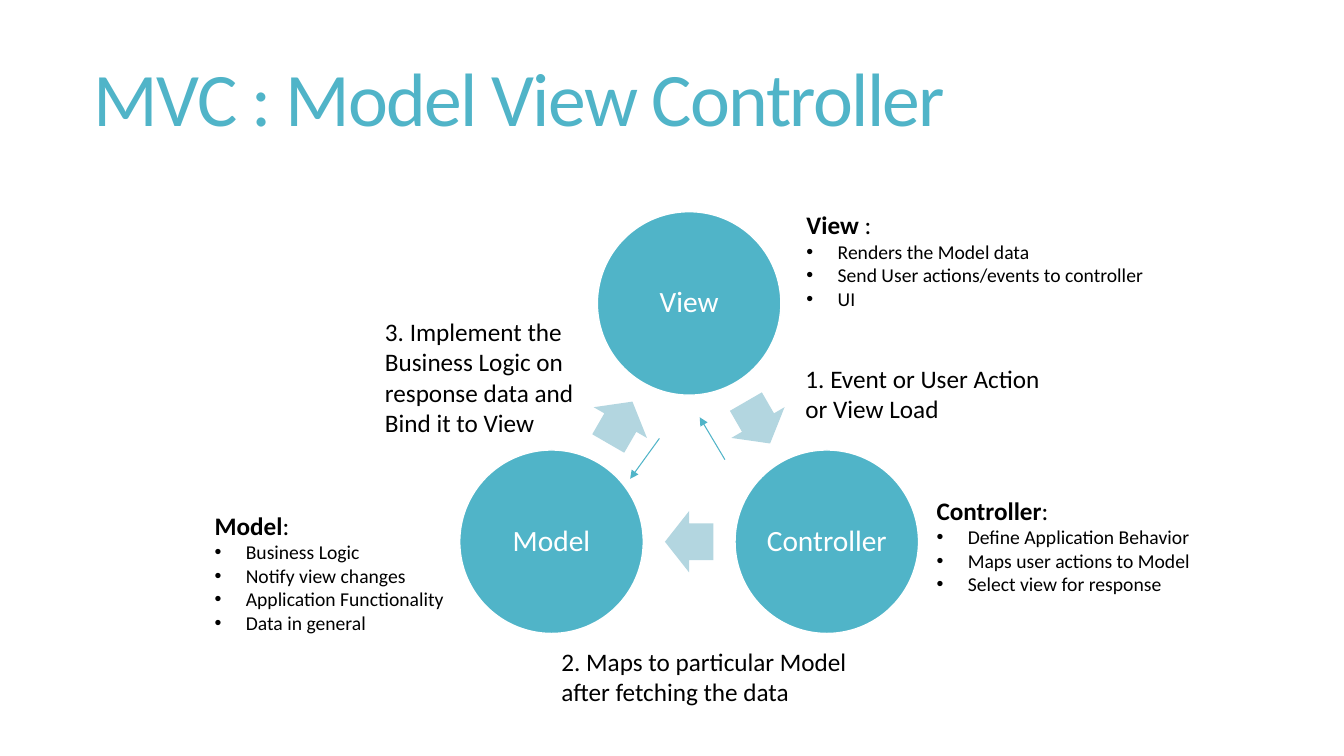
import math
from dataclasses import dataclass

import lxml.etree
import pptx
import pptx.dml.color
import pptx.enum.shapes
import pptx.enum.text
import pptx.oxml.ns
import pptx.util

Inches = pptx.util.Inches
SHAPE = pptx.enum.shapes.MSO_SHAPE
ALIGN = pptx.enum.text.PP_ALIGN
MIDDLE = pptx.enum.text.MSO_ANCHOR.MIDDLE
qn = pptx.oxml.ns.qn


@dataclass(frozen=True)
class Theme:
    """Colours, font and type sizes of the slide."""
    accent: str = "50B4C8"
    pale: str = "B3D6E0"
    white: str = "FFFFFF"
    black: str = "000000"
    font: str = "Calibri"
    title: float = 54
    node: float = 21
    body: float = 18
    bullet: float = 14


THEME = Theme()

STEPS = [
    ("1. Event or User Action or View Load", (7.89, 3.55, 2.78, 0.71)),
    ("2. Maps to particular Model after fetching the data", (5.47, 6.36, 3.44, 0.71)),
    ("3. Implement the Business Logic on response data and Bind it to View",
     (3.72, 3.09, 2.53, 1.31)),
]
ROLES = [
    ("View", " : ", ["Renders the Model data",
                     "Send User actions/events to controller", "UI"],
     (7.9, 2.03, 4.11, 1.11)),
    ("Controller", ": ", ["Define Application Behavior", "Maps user actions to Model",
                          "Select view for response"],
     (9.19, 4.86, 4.11, 1.11)),
    ("Model", ": ", ["Business Logic", "Notify view changes",
                     "Application Functionality", "Data in general"],
     (2.03, 5.01, 2.96, 1.35)),
]


def rgb(code):
    """Turn a hex code into a colour."""
    return pptx.dml.color.RGBColor.from_string(code)


def add_run(p, text, size, color=THEME.black, bold=False):
    """Add one formatted run to a paragraph."""
    r = p.add_run()
    r.text = text
    r.font.name = THEME.font
    r.font.size = pptx.util.Pt(size)
    r.font.bold = bold
    r.font.color.rgb = rgb(color)
    return r


def add_text_frame(slide, box):
    """Add a wrapping text box and return its frame."""
    tf = slide.shapes.add_textbox(*map(Inches, box)).text_frame
    tf.word_wrap = True
    return tf


def add_bullet(p):
    """Give a paragraph a hanging round bullet."""
    pPr = p._p.get_or_add_pPr()
    pPr.set("marL", str(Inches(0.31)))
    pPr.set("indent", str(-Inches(0.31)))
    lxml.etree.SubElement(pPr, qn("a:buFont")).set("typeface", "Arial")
    lxml.etree.SubElement(pPr, qn("a:buChar")).set("char", "•")


def add_preset(slide, kind, center, width, height, fill):
    """Add a flat preset shape around a centre point."""
    x, y = center
    sp = slide.shapes.add_shape(kind, Inches(x - width / 2), Inches(y - height / 2),
                                Inches(width), Inches(height))
    sp.shadow.inherit = False
    sp.fill.solid()
    sp.fill.fore_color.rgb = rgb(fill)
    sp.line.fill.background()
    return sp


def add_title(slide, text, box):
    """Place and format the title placeholder."""
    sp = slide.shapes.title
    sp.left, sp.top, sp.width, sp.height = map(Inches, box)
    tf = sp.text_frame
    tf.auto_size = pptx.enum.text.MSO_AUTO_SIZE.NONE
    tf.vertical_anchor = MIDDLE
    p = tf.paragraphs[0]
    p.alignment = ALIGN.LEFT
    p.line_spacing = 0.85
    r = add_run(p, text, THEME.title, THEME.accent)
    r._r.get_or_add_rPr().set("spc", "-120")


def add_node(slide, name, center, diameter):
    """Add a labelled circle of the cycle."""
    sp = add_preset(slide, SHAPE.OVAL, center, diameter, diameter, THEME.accent)
    sp.line.color.rgb = rgb(THEME.white)
    sp.line.width = pptx.util.Pt(1)
    tf = sp.text_frame
    tf.margin_left = tf.margin_right = tf.margin_top = tf.margin_bottom = Inches(0.03)
    tf.word_wrap = True
    tf.vertical_anchor = MIDDLE
    p = tf.paragraphs[0]
    p.alignment = ALIGN.CENTER
    p.line_spacing = 0.9
    add_run(p, name, THEME.node, THEME.white)


def add_thin_arrow(slide, start, end):
    """Add a thin connector with a triangular head at its end."""
    line = slide.shapes.add_connector(pptx.enum.shapes.MSO_CONNECTOR.STRAIGHT,
                                      *map(Inches, (*start, *end)))
    line.line.color.rgb = rgb(THEME.accent)
    line.line.width = pptx.util.Pt(0.75)
    ln = line.line._get_or_add_ln()
    lxml.etree.SubElement(ln, qn("a:tailEnd")).set("type", "triangle")
    lxml.etree.SubElement(line._element.spPr, qn("a:effectLst"))


def add_cycle(slide, names, box, diameter=1.82):
    """Place the circles on a ring, with block arrows between and thin ones inside."""
    left, top, width, _ = box
    radius = (width - diameter) / math.sqrt(3)
    cx, cy = left + width / 2, top + diameter / 2 + radius
    step = 360 / len(names)
    centers = []
    for i in range(len(names)):
        angle = math.radians(i * step - 90)
        centers.append((cx + radius * math.cos(angle), cy + radius * math.sin(angle)))
    for i, (name, center) in enumerate(zip(names, centers)):
        add_node(slide, name, center, diameter)
        following = centers[(i + 1) % len(centers)]
        middle = [(a + b) / 2 for a, b in zip(center, following)]
        arrow = add_preset(slide, SHAPE.RIGHT_ARROW, middle, 0.48, 0.61, THEME.pale)
        arrow.adjustments[0], arrow.adjustments[1] = 0.6, 0.5
        arrow.rotation = step / 2 + i * step
    for start, end in [((2.63, 2.46), (2.38, 2.04)), ((1.98, 2.25), (1.69, 2.65))]:
        add_thin_arrow(slide, (left + start[0], top + start[1]),
                       (left + end[0], top + end[1]))


def add_step(slide, text, box):
    """Add the caption of one step."""
    add_run(add_text_frame(slide, box).paragraphs[0], text, THEME.body)


def add_role(slide, name, mark, duties, box):
    """Add a bold role name with its bulleted duties."""
    tf = add_text_frame(slide, box)
    heading = tf.paragraphs[0]
    add_run(heading, name, THEME.body, bold=True)
    add_run(heading, mark, THEME.body)
    for duty in duties:
        p = tf.add_paragraph()
        add_bullet(p)
        add_run(p, duty, THEME.bullet)


def main():
    """Build and save the slide."""
    prs = pptx.Presentation()
    prs.slide_width, prs.slide_height = Inches(13.33), Inches(7.5)
    slide = prs.slides.add_slide(prs.slide_layouts[5])
    add_title(slide, "MVC : Model View Controller", (0.83, -0.01, 10.83, 2.08))
    add_cycle(slide, [role[0] for role in ROLES], (4.56, 2.1, 4.55, 4.19))
    for step in STEPS:
        add_step(slide, *step)
    for role in ROLES:
        add_role(slide, *role)
    prs.save("out.pptx")


main()
